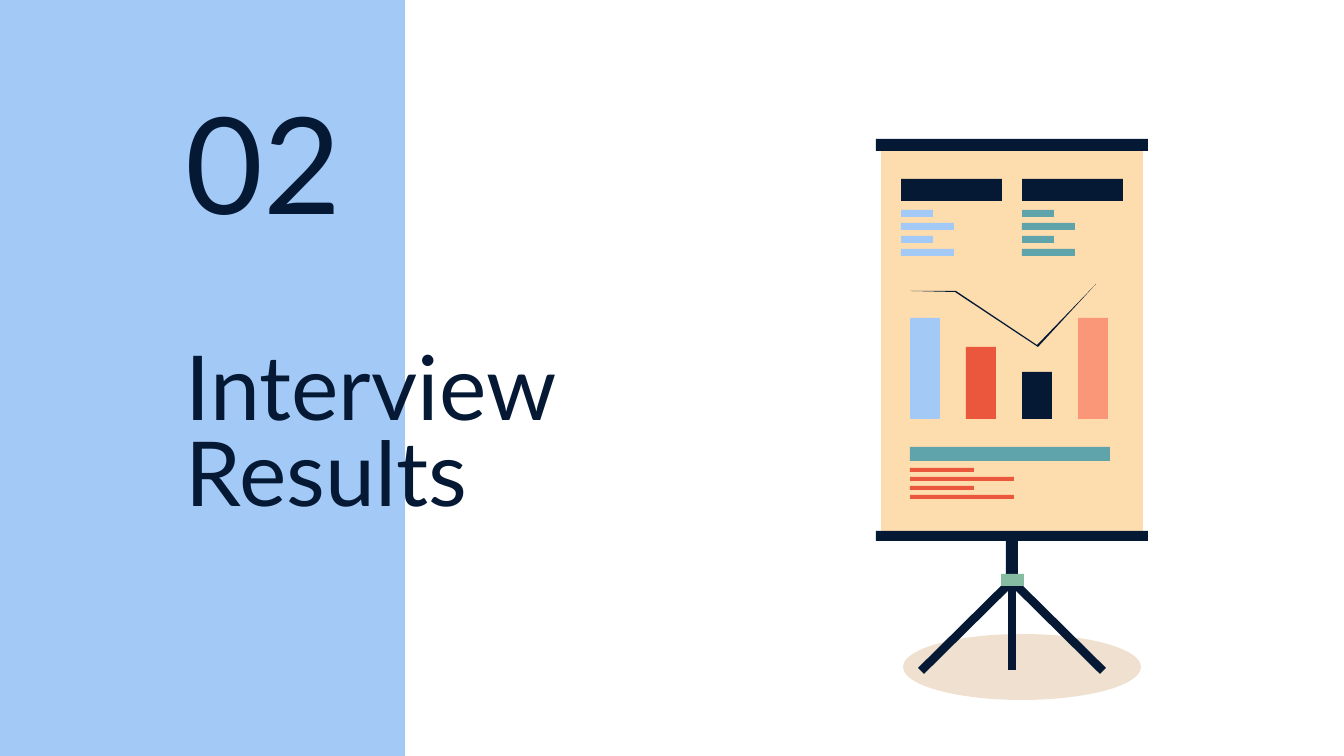
from dataclasses import dataclass

from lxml import etree
from pptx import Presentation
from pptx.dml.color import RGBColor
from pptx.enum import shapes, text
from pptx.oxml import ns
from pptx.util import Pt

EMU_PER_PX = 914400 / 134.4


@dataclass(frozen=True)
class Theme:
    """Colours, font and type sizes of the slide."""
    navy: str = "051934"
    sky: str = "A3CAF7"
    teal: str = "5FA4AB"
    red: str = "EB573D"
    salmon: str = "FA9778"
    paper: str = "FDDCAE"
    mint: str = "85BCA2"
    shadow: str = "B45F06"
    font: str = "Lato"
    number_size: int = 72
    title_size: int = 48


THEME = Theme()


def px(n):
    """Turn a length in px into EMU."""
    return round(n * EMU_PER_PX)


def paint(sp, color):
    """Give a shape a plain fill with no line or shadow."""
    sp.fill.solid()
    sp.fill.fore_color.rgb = RGBColor.from_string(color)
    sp.line.fill.background()
    sp.shadow.inherit = False


def add_block(s, x, y, w, h, color, kind=shapes.MSO_SHAPE.RECTANGLE):
    """Add a filled preset shape."""
    sp = s.shapes.add_shape(kind, px(x), px(y), px(w), px(h))
    paint(sp, color)
    return sp


def add_outline(s, points, color):
    """Add a filled polygon through the given points."""
    builder = s.shapes.build_freeform(*points[0], scale=EMU_PER_PX)
    builder.add_line_segments(points[1:], close=True)
    paint(builder.convert_to_shape(), color)


def add_heading(s, x, y, w, h, words, size, anchor, spacing=1.0):
    """Add a text box with one heading."""
    tf = s.shapes.add_textbox(px(x), px(y), px(w), px(h)).text_frame
    tf.word_wrap = True
    tf.vertical_anchor = anchor
    tf.margin_left = tf.margin_right = tf.margin_top = tf.margin_bottom = px(13)
    tf.text = words
    p = tf.paragraphs[0]
    p.line_spacing = spacing
    font = p.runs[0].font
    font.name = THEME.font
    font.size = Pt(size)
    font.color.rgb = RGBColor.from_string(THEME.navy)


def add_text_bars(s, x, y, widths, step, h, color):
    """Add four bars of alternating width that stand for lines of text."""
    for i in range(4):
        add_block(s, x, y + i * step, widths[i % 2], h, color)


def add_floor_shadow(s):
    """Add the translucent ellipse below the stand."""
    sp = add_block(s, 903, 634, 238, 66, THEME.shadow, shapes.MSO_SHAPE.OVAL)
    clr = sp.fill._xPr.find(".//" + ns.qn("a:srgbClr"))
    etree.SubElement(clr, ns.qn("a:alpha"), val="19000")


def add_stand(s):
    """Add the tripod with its post and clamp."""
    center = 1012
    leg = [(-3, 578), (-94, 668), (-88, 674), (3, 584)]
    for side in (1, -1):
        add_outline(s, [(center + side * dx, y) for dx, y in leg], THEME.navy)
    add_block(s, 1008, 567, 8, 103, THEME.navy)
    add_block(s, 1006, 531, 12, 55, THEME.navy)
    add_block(s, 1001, 574, 23, 12, THEME.mint)


def add_board(s):
    """Add the flip chart sheet with its rails and contents."""
    add_block(s, 881, 151, 262, 380, THEME.paper)
    for y, h in ((531, 10), (139, 12)):
        add_block(s, 876, y, 272, h, THEME.navy)
    for x, color in ((901, THEME.sky), (1022, THEME.teal)):
        add_block(s, x, 179, 101, 22, THEME.navy)
        add_text_bars(s, x, 210, (32, 53), 13, 7, color)
    add_block(s, 910, 447, 200, 14, THEME.teal)
    add_text_bars(s, 910, 468, (64, 104), 9, 4, THEME.red)
    columns = ((101, THEME.sky), (72, THEME.red), (47, THEME.navy), (101, THEME.salmon))
    for i, (h, color) in enumerate(columns):
        add_block(s, 910 + 56 * i, 419 - h, 30, h, color)
    trend = [(1096, 284), (1037, 345), (956, 291), (910, 291),
             (955, 292), (1038, 347)]
    add_outline(s, trend, THEME.navy)


def main():
    """Build the section slide."""
    prs = Presentation()
    prs.slide_width, prs.slide_height = px(1344), px(756)
    s = prs.slides.add_slide(prs.slide_layouts[6])
    add_block(s, 0, 0, 405, 756, THEME.sky)
    add_floor_shadow(s)
    add_heading(s, 173, 376, 570, 124, "Interview Results", THEME.title_size,
                text.MSO_ANCHOR.MIDDLE, 0.8)
    add_heading(s, 173, 138, 370, 116, "02", THEME.number_size,
                text.MSO_ANCHOR.BOTTOM)
    add_stand(s)
    add_board(s)
    prs.save("out.pptx")


if __name__ == "__main__":
    main()
